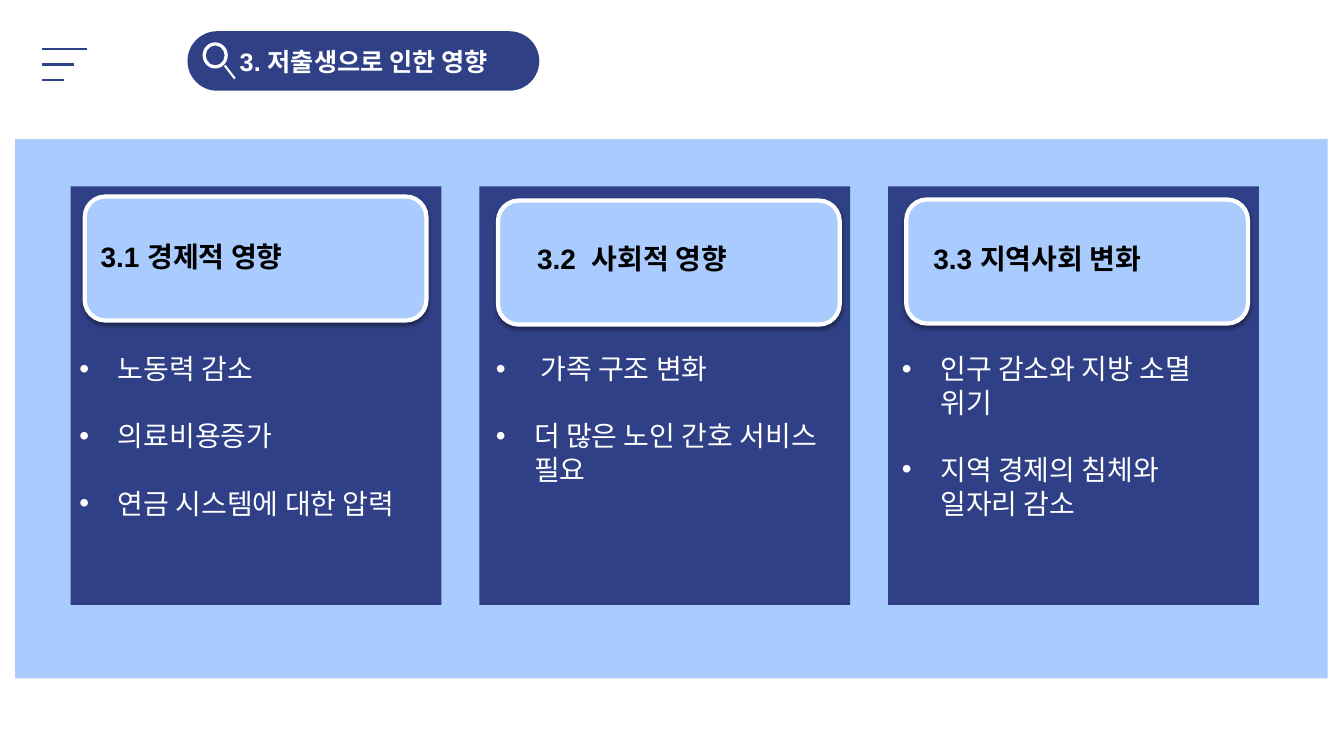
from dataclasses import dataclass

from lxml.etree import SubElement
from pptx import Presentation
from pptx.dml.color import RGBColor
from pptx.enum.shapes import MSO_CONNECTOR as Conn, MSO_SHAPE as Shp
from pptx.oxml.ns import qn
from pptx.util import Inches, Pt

CELL = 0.1
COLS, ROWS = 133.33, 75


@dataclass(frozen=True)
class Theme:
    navy: str = "304086"
    sky: str = "AACBFE"
    white: str = "FFFFFF"
    black: str = "000000"
    font: str = "Arial"
    title: int = 18
    text: int = 20
    gap: int = 24
    hair: float = 1.5
    frame: float = 3


@dataclass(frozen=True)
class Box:
    col: float
    row: float
    cols: float
    rows: float

    def emu(self) -> tuple:
        return tuple(cells(v) for v in (self.col, self.row, self.cols, self.rows))


@dataclass(frozen=True)
class Card:
    heading: str
    items: tuple[str, ...]
    badge: tuple[float, float]
    label: Box
    body: Box


T = Theme()
CARD_LEFT, CARD_PITCH = 7, 40.55
CARDS = (
    Card("3.1 경제적 영향", ("노동력 감소", "의료비용증가", "연금 시스템에 대한 압력"),
         (8.4, 19.5), Box(9, 23.3, 35.4, 4.4), Box(6.9, 34.4, 36.4, 17.8)),
    Card("3.2  사회적 영향", (" 가족 구조 변화", "더 많은 노인 간호 서비스 필요"),
         (49.4, 19.9), Box(52.3, 23.5, 36.8, 4.4), Box(48.2, 34.4, 36.4, 17.8)),
    Card("3.3 지역사회 변화", ("인구 감소와 지방 소멸 위기", "지역 경제의 침체와 일자리 감소"),
         (89.9, 19.8), Box(91.6, 23.5, 36.8, 4.4), Box(88.5, 34.4, 35.4, 17.8)),
)
MENU_ENDS = (8.6, 7.3, 6.4)


def cells(n: float) -> int:
    return Inches(n * CELL)


def rgb(color: str) -> RGBColor:
    return RGBColor.from_string(color)


def add_block(s, kind, box: Box, fill: str, adj: float | None = None, line: str | None = None):
    sp = s.shapes.add_shape(kind, *box.emu())
    sp.shadow.inherit = False
    sp.fill.solid()
    sp.fill.fore_color.rgb = rgb(fill)
    if adj is not None:
        sp.adjustments[0] = adj
    if line:
        sp.line.color.rgb = rgb(line)
        sp.line.width = Pt(T.frame)
    else:
        sp.line.fill.background()
    return sp


def add_shadow(sp) -> None:
    effects = sp._element.spPr.find(qn("a:effectLst"))
    shadow = SubElement(effects, qn("a:outerShdw"), blurRad=str(Pt(3.1)), dist=str(Pt(1.6)),
                        dir="5400000", algn="t", rotWithShape="0")
    color = SubElement(shadow, qn("a:srgbClr"), val=T.black)
    SubElement(color, qn("a:alpha"), val="38000")


def add_line(s, x1: float, y1: float, x2: float, y2: float, color: str) -> None:
    cx = s.shapes.add_connector(Conn.STRAIGHT, *map(cells, (x1, y1, x2, y2)))
    cx.line.color.rgb = rgb(color)
    cx.line.width = Pt(T.hair)
    SubElement(cx._element.spPr, qn("a:effectLst"))


def add_bullet(p) -> None:
    pPr = p._p.get_or_add_pPr()
    pPr.set("marL", str(Inches(0.38)))
    pPr.set("indent", str(Inches(-0.38)))
    SubElement(pPr, qn("a:buFont"), typeface=T.font)
    SubElement(pPr, qn("a:buChar"), char="•")


def add_text(s, box: Box, *lines: str, size: int = T.text, color: str = T.white,
             bold: bool = False, bullets: bool = False) -> None:
    tf = s.shapes.add_textbox(*box.emu()).text_frame
    tf.word_wrap = True
    for i, line in enumerate(lines):
        p = tf.add_paragraph() if i else tf.paragraphs[0]
        if i:
            p.space_before = Pt(T.gap)
        if bullets:
            add_bullet(p)
        r = p.add_run()
        r.text = line
        r.font.name = T.font
        r.font.size = Pt(size)
        r.font.bold = bold
        r.font.color.rgb = rgb(color)


def add_header(s) -> None:
    add_block(s, Shp.ROUNDED_RECTANGLE, Box(18.6, 3.1, 34.9, 5.9), T.navy, adj=0.5)
    add_block(s, Shp.DONUT, Box(20.1, 4.2, 2.5, 2.6), T.white, adj=0.125)
    add_line(s, 22.3, 6.5, 23.3, 7.8, T.white)
    for i, end in enumerate(MENU_ENDS):
        row = 4.9 + 1.5 * i
        add_line(s, 4.2, row, end, row, T.navy)
    add_text(s, Box(22.8, 4.1, 33.8, 4), "3. 저출생으로 인한 영향", size=T.title, bold=True)


def add_card(s, i: int, card: Card) -> None:
    add_block(s, Shp.RECTANGLE, Box(CARD_LEFT + i * CARD_PITCH, 18.5, 36.8, 41.5), T.navy)
    add_text(s, card.body, *card.items, bullets=True)
    badge = add_block(s, Shp.ROUNDED_RECTANGLE, Box(*card.badge, 33.9, 12.3), T.sky, line=T.white)
    add_shadow(badge)
    add_text(s, card.label, card.heading, color=T.black, bold=True)


def main() -> None:
    prs = Presentation()
    prs.slide_width, prs.slide_height = cells(COLS), cells(ROWS)
    s = prs.slides.add_slide(prs.slide_layouts[6])
    add_block(s, Shp.RECTANGLE, Box(1.5, 13.8, 130.2, 53.5), T.sky)
    add_header(s)
    for i, card in enumerate(CARDS):
        add_card(s, i, card)
    prs.save("out.pptx")


if __name__ == "__main__":
    main()
